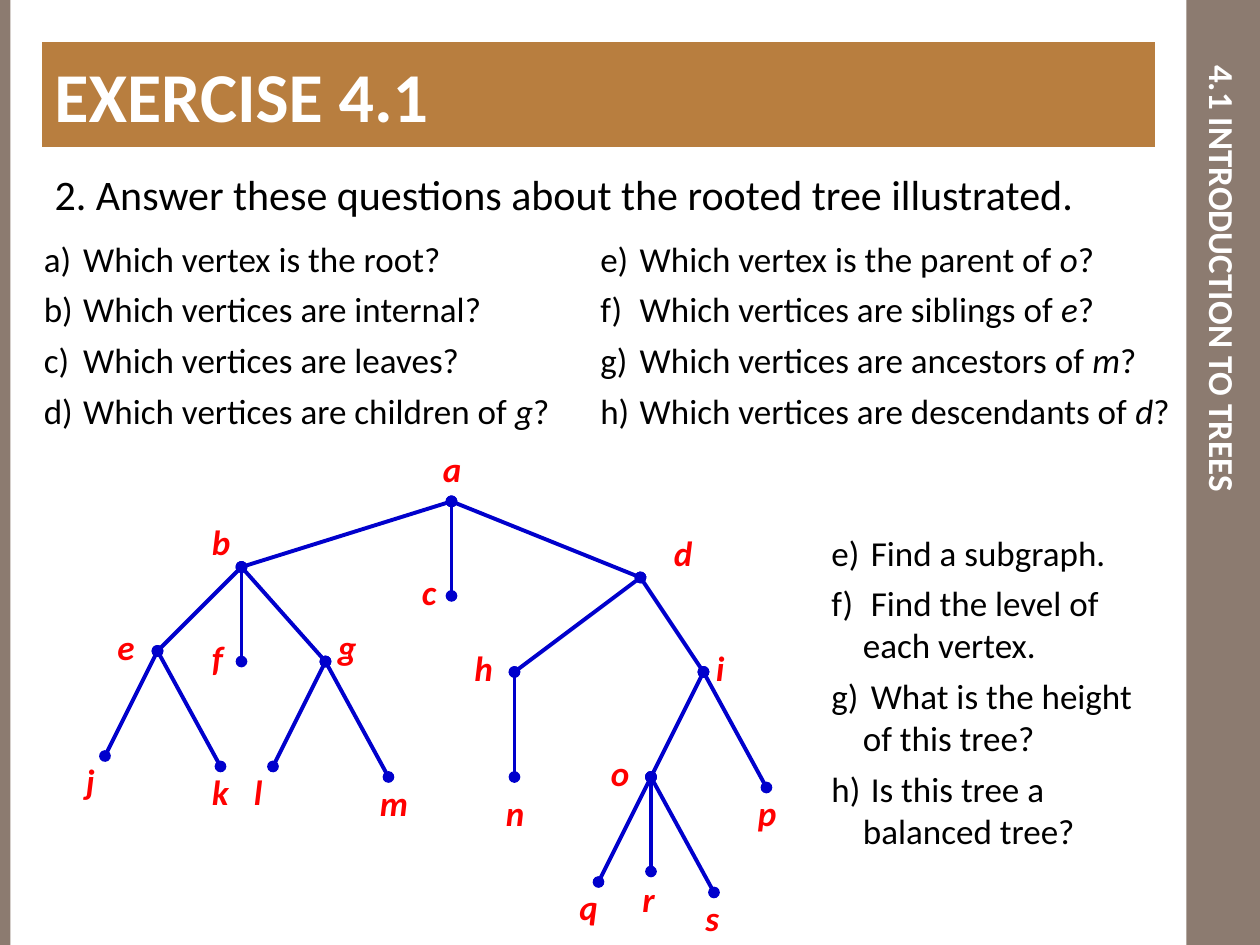
from lxml.etree import SubElement
from pptx import Presentation
from pptx.dml.color import RGBColor
from pptx.enum.shapes import MSO_CONNECTOR, MSO_SHAPE
from pptx.enum.text import MSO_ANCHOR as Anchor, MSO_AUTO_SIZE as AutoSize, PP_ALIGN as Align
from pptx.oxml.ns import qn
from pptx.util import Pt

FONT = "Calibri"
BLACK = RGBColor(0, 0, 0)
WHITE = RGBColor(255, 255, 255)
TAUPE = RGBColor(0x8C, 0x7B, 0x70)
OCHRE = RGBColor(0xB8, 0x7E, 0x3F)
EDGE_BLUE = RGBColor(0, 0, 0xCC)
LABEL_RED = RGBColor(255, 0, 0)

LABEL_SIZE = 24, 31.5

LEFT_QUESTIONS = [
    [" Which vertex is the root?"],
    [" Which vertices are internal?"],
    [" Which vertices are leaves?"],
    [" Which vertices are children of ", "g", "?"],
]
RIGHT_QUESTIONS = [
    [" Which vertex is the parent of ", "o", "?"],
    [" Which vertices are siblings of ", "e", "?"],
    [" Which vertices are ancestors of ", "m", "?"],
    [" Which vertices are descendants of ", "d", "?"],
]
TREE_QUESTIONS = [
    [" Find a subgraph."],
    [" Find the level of each vertex."],
    [" What is the height of this tree?"],
    [" Is this tree a balanced tree?"],
]

# vertex: (position, top left of its label)
VERTICES = {
    "a": ((258, 286.5), (246, 252)),
    "b": ((138, 324), (114, 294)),
    "c": ((258, 340.5), (234, 322.5)),
    "d": ((366, 330), (378, 300)),
    "e": ((90, 372), (60, 354)),
    "f": ((138, 378), (114, 360)),
    "g": ((186, 378), (186, 354)),
    "h": ((294, 384), (264, 366)),
    "i": ((402, 384), (402, 366)),
    "j": ((60, 432), (42, 430.5)),
    "k": ((126, 438), (114, 437)),
    "l": ((156, 438), (138, 437)),
    "m": ((222, 444), (210, 443)),
    "n": ((294, 444), (282, 448.5)),
    "o": ((372, 444), (342, 426)),
    "p": ((438, 450), (426, 448.5)),
    "q": ((342, 504), (324, 502.5)),
    "r": ((372, 498), (360, 498)),
    "s": ((408, 510), (396, 509)),
}
CHILDREN = {"a": "bcd", "b": "efg", "d": "hi", "e": "jk",
            "g": "lm", "h": "n", "i": "op", "o": "qrs"}


def place(sp, left, top, width, height):
    sp.left, sp.top, sp.width, sp.height = Pt(left), Pt(top), Pt(width), Pt(height)


def add_run(p, text, size, color, bold=False, italic=False):
    r = p.add_run()
    r.text = text
    r.font.name = FONT
    r.font.size = Pt(size)
    r.font.color.rgb = color
    r.font.bold = bold
    r.font.italic = italic


def number(p, scheme, start, indent):
    """Give the paragraph automatic numbering with a hanging indent."""
    pPr = p._p.get_or_add_pPr()
    pPr.set("marL", str(Pt(indent)))
    pPr.set("indent", str(-Pt(indent)))
    color = SubElement(pPr, qn("a:buClr"))
    SubElement(color, qn("a:srgbClr"), val=str(BLACK))
    SubElement(pPr, qn("a:buFont"), typeface="+mj-lt")
    SubElement(pPr, qn("a:buAutoNum"), type=scheme, startAt=str(start))


def add_bar(slide, left, top, width, height, color):
    sp = slide.shapes.add_shape(MSO_SHAPE.RECTANGLE, Pt(left), Pt(top), Pt(width), Pt(height))
    sp.shadow.inherit = False
    sp.fill.solid()
    sp.fill.fore_color.rgb = color
    sp.line.fill.background()
    return sp


def add_sidebar(slide, left, width):
    """Add a full-height bar behind everything else."""
    element = add_bar(slide, left, 0, width, 540, TAUPE)._element
    element.getparent().insert(2, element)


def set_section_title(sp, text):
    place(sp, 678, 30, 42, 462)
    tf = sp.text_frame
    tf.auto_size = AutoSize.NONE
    tf.word_wrap = True
    tf.vertical_anchor = Anchor.MIDDLE
    tf.margin_left = tf.margin_right = Pt(3.6)
    tf.margin_top = tf.margin_bottom = Pt(7.2)
    tf._txBody.bodyPr.set("vert", "eaVert")
    p = tf.paragraphs[0]
    p.alignment = Align.CENTER
    add_run(p, text, 20, WHITE, bold=True)


def set_task(sp, text):
    place(sp, 24, 96, 636, 36)
    tf = sp.text_frame
    tf.auto_size = AutoSize.NONE
    p = tf.paragraphs[0]
    number(p, "arabicPeriod", 2, 16.5)
    p.line_spacing = 0.9
    p.space_before = Pt(0)
    add_run(p, text, 24, BLACK)


def add_heading(slide, text):
    tf = add_bar(slide, 24, 24, 636, 60, OCHRE).text_frame
    tf.vertical_anchor = Anchor.MIDDLE
    p = tf.paragraphs[0]
    p.alignment = Align.LEFT
    add_run(p, text, 40, WHITE, bold=True)


def add_questions(slide, left, top, width, height, questions, start=1):
    """Add a lettered list; every second run of a question is an italic vertex name."""
    tf = slide.shapes.add_textbox(Pt(left), Pt(top), Pt(width), Pt(height)).text_frame
    tf.word_wrap = True
    for i, parts in enumerate(questions):
        p = tf.add_paragraph() if i else tf.paragraphs[0]
        number(p, "alphaLcParenR", start, 18)
        p.space_before = Pt(5 if i else 0)
        for j, part in enumerate(parts):
            add_run(p, part, 20, BLACK, italic=j % 2 == 1)


def add_edge(slide, start, end):
    points = [Pt(v) for v in (*start, *end)]
    line = slide.shapes.add_connector(MSO_CONNECTOR.STRAIGHT, *points)
    line.line.color.rgb = EDGE_BLUE
    line.line.width = Pt(2.25)
    ln = line.line._get_or_add_ln()
    for end_tag in ("a:headEnd", "a:tailEnd"):
        SubElement(ln, qn(end_tag), type="oval")
    SubElement(line._element.spPr, qn("a:effectLst"))


def add_label(slide, name, position):
    box = slide.shapes.add_textbox(*[Pt(v) for v in (*position, *LABEL_SIZE)])
    tf = box.text_frame
    tf.word_wrap = True
    tf.auto_size = AutoSize.SHAPE_TO_FIT_TEXT
    add_run(tf.paragraphs[0], name, 20, LABEL_RED, bold=True, italic=True)


def add_tree(slide):
    for parent, children in CHILDREN.items():
        for child in children:
            add_edge(slide, VERTICES[child][0], VERTICES[parent][0])
    for name, (_, label_position) in VERTICES.items():
        add_label(slide, name, label_position)


def main():
    prs = Presentation()
    prs.slide_width, prs.slide_height = Pt(720), Pt(540)
    slide = prs.slides.add_slide(prs.slide_layouts[1])

    add_sidebar(slide, 678, 42)
    add_sidebar(slide, 0, 6)
    set_section_title(slide.shapes.title, "4.1 INTRODUCTION TO TREES")
    set_task(slide.placeholders[1], " Answer these questions about the rooted tree illustrated.")
    add_heading(slide, "EXERCISE 4.1")
    add_questions(slide, 18, 132, 396, 132, LEFT_QUESTIONS)
    add_questions(slide, 336, 132, 396, 126, RIGHT_QUESTIONS, start=5)
    add_tree(slide)
    add_questions(slide, 468, 300, 204, 126, TREE_QUESTIONS, start=5)

    prs.save("out.pptx")


if __name__ == "__main__":
    main()
